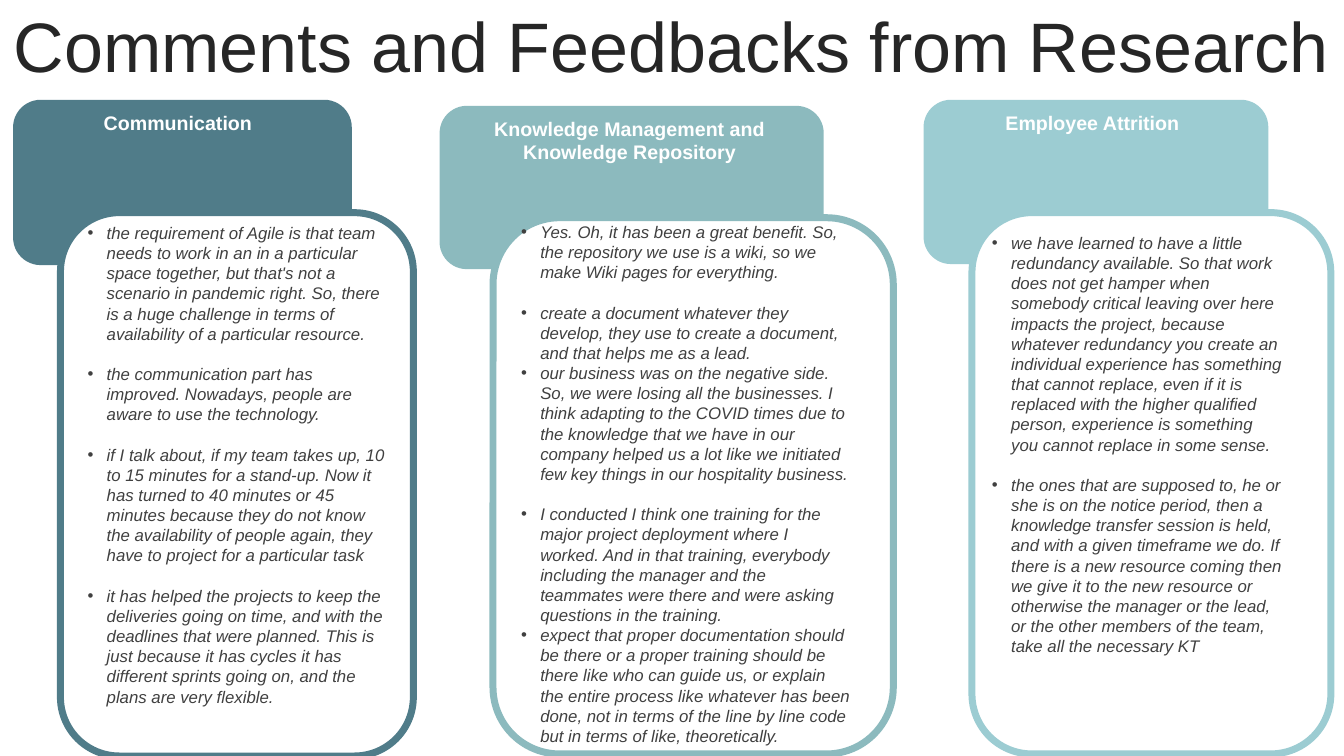
from dataclasses import dataclass

from lxml import etree
from pptx import Presentation
from pptx.dml.color import RGBColor
from pptx.enum.shapes import MSO_SHAPE
from pptx.enum.text import MSO_ANCHOR, PP_ALIGN
from pptx.oxml.ns import qn
from pptx.util import Inches, Pt

ROUNDED = MSO_SHAPE.ROUNDED_RECTANGLE
CENTER = PP_ALIGN.CENTER
MIDDLE = MSO_ANCHOR.MIDDLE
FONT = "Arial"
WHITE = "FFFFFF"
INDENT = Inches(0.19)
LINE_GAP = Pt(14.4)


@dataclass
class Theme:
    """One research theme; each quote is paired with whether a gap precedes it."""
    heading: str
    color: str
    header_box: tuple
    panel_box: tuple
    heading_box: tuple
    quotes_box: tuple
    quotes: list


THEMES = [
    Theme(
        "Knowledge Management and Knowledge Repository", "8CBABE",
        (4.36, 1.05, 3.81, 1.62), (4.89, 2.16, 3.97, 5.32),
        (4.41, 1.11, 3.67, 0.6), (5.07, 2.15, 3.47, 5.55),
        [
            ("Yes. Oh, it has been a great benefit. So, the repository we use is a wiki, "
             "so we make Wiki pages for everything.", False),
            ("create a document whatever they develop, they use to create a document, "
             "and that helps me as a lead.", True),
            ("our business was on the negative side. So, we were losing all the businesses. "
             "I think adapting to the COVID times due to the knowledge that we have in our "
             "company helped us a lot like we initiated few key things in our hospitality "
             "business.", False),
            ("I conducted I think one training for the major project deployment where I "
             "worked. And in that training, everybody including the manager and the "
             "teammates were there and were asking questions in the training.", True),
            ("expect that proper documentation should be there or a proper training should "
             "be there like who can guide us, or explain the entire process like whatever "
             "has been done, not in terms of the line by line code but in terms of like, "
             "theoretically.", False),
        ]),
    Theme(
        "Employee Attrition", "9CCCD2",
        (9.16, 0.99, 3.42, 1.63), (9.64, 2.11, 3.56, 5.37),
        (9.19, 1.05, 3.29, 0.35), (9.74, 2.26, 3.09, 4.54),
        [
            ("we have learned to have a little redundancy available. So that work does not "
             "get hamper when somebody critical leaving over here impacts the project, "
             "because whatever redundancy you create an individual experience has something "
             "that cannot replace, even if it is replaced with the higher qualified person, "
             "experience is something you cannot replace in some sense.", False),
            ("the ones that are supposed to, he or she is on the notice period, then a "
             "knowledge transfer session is held, and with a given timeframe we do. If there "
             "is a new resource coming then we give it to the new resource or otherwise the "
             "manager or the lead, or the other members of the team, take all the necessary "
             "KT", True),
        ]),
    Theme(
        "Communication", "507C89",
        (0.13, 0.99, 3.36, 1.64), (0.6, 2.11, 3.5, 5.39),
        (0.15, 1.05, 3.23, 0.35), (0.77, 2.16, 3.16, 5),
        [
            ("the requirement of Agile is that team needs to work in an in a particular "
             "space together, but that's not a scenario in pandemic right. So, there is a "
             "huge challenge in terms of availability of a particular resource.", False),
            ("the communication part has improved. Nowadays, people are aware to use the "
             "technology.", True),
            ("if I talk about, if my team takes up, 10 to 15 minutes for a stand-up. Now it "
             "has turned to 40 minutes or 45 minutes because they do not know the "
             "availability of people again, they have to project for a particular task", True),
            ("it has helped the projects to keep the deliveries going on time, and with the "
             "deadlines that were planned. This is just because it has cycles it has "
             "different sprints going on, and the plans are very flexible.", True),
        ]),
]


def rgb(color):
    """Turn a hex string into a colour."""
    return RGBColor.from_string(color)


def inches(box):
    """Turn left, top, width and height into lengths."""
    return [Inches(length) for length in box]


def style(paragraph, size, color, bold=False, italic=False):
    """Format the runs of a paragraph."""
    for run in paragraph.runs:
        run.font.name = FONT
        run.font.size = Pt(size)
        run.font.color.rgb = rgb(color)
        run.font.bold = bold
        run.font.italic = italic


def add_bullet(paragraph):
    """Give a paragraph a hanging round bullet."""
    properties = paragraph._p.get_or_add_pPr()
    properties.set("marL", str(INDENT))
    properties.set("indent", str(-INDENT))
    etree.SubElement(properties, qn("a:buFont")).set("typeface", FONT)
    etree.SubElement(properties, qn("a:buChar")).set("char", "•")


def add_card(group, box, fill, line=None):
    """Draw a rounded card with an optional thick outline."""
    card = group.shapes.add_shape(ROUNDED, *inches(box))
    card.shadow.inherit = False
    card.fill.solid()
    card.fill.fore_color.rgb = rgb(fill)
    if line:
        card.line.color.rgb = rgb(line)
        card.line.width = Pt(5)
    else:
        card.line.fill.background()


def add_text_frame(group, box):
    """Add a wrapping text box and return its frame."""
    frame = group.shapes.add_textbox(*inches(box)).text_frame
    frame.word_wrap = True
    return frame


def add_heading(group, theme):
    """Write the heading of a theme."""
    frame = add_text_frame(group, theme.heading_box)
    frame.text = theme.heading
    frame.paragraphs[0].alignment = CENTER
    style(frame.paragraphs[0], 14, WHITE, bold=True)


def add_quotes(group, theme):
    """Write the bulleted quotes of a theme."""
    frame = add_text_frame(group, theme.quotes_box)
    frame.text = "\n".join(quote for quote, _ in theme.quotes)
    for paragraph, (_, gap_before) in zip(frame.paragraphs, theme.quotes):
        add_bullet(paragraph)
        if gap_before:
            paragraph.space_before = LINE_GAP
        style(paragraph, 12, "404040", italic=True)


def add_theme(slide, theme):
    """Build the grouped column of one theme."""
    group = slide.shapes.add_group_shape()
    add_card(group, theme.header_box, theme.color)
    add_card(group, theme.panel_box, WHITE, theme.color)
    add_heading(group, theme)
    add_quotes(group, theme)


def set_title(slide, text):
    """Place and format the slide title."""
    title = slide.shapes.title
    title.left, title.top, title.width, title.height = inches((0, 0, 13.33, 0.99))
    frame = title.text_frame
    frame.text = text
    frame.vertical_anchor = MIDDLE
    frame.paragraphs[0].alignment = CENTER
    frame.paragraphs[0].line_spacing = 0.9
    style(frame.paragraphs[0], 50, "262626")


def main():
    """Build and save the slide."""
    deck = Presentation()
    deck.slide_width, deck.slide_height = Inches(13.33), Inches(7.5)
    slide = deck.slides.add_slide(deck.slide_layouts[5])
    set_title(slide, "Comments and Feedbacks from Research")
    for theme in THEMES:
        add_theme(slide, theme)
    deck.save("out.pptx")


if __name__ == "__main__":
    main()
